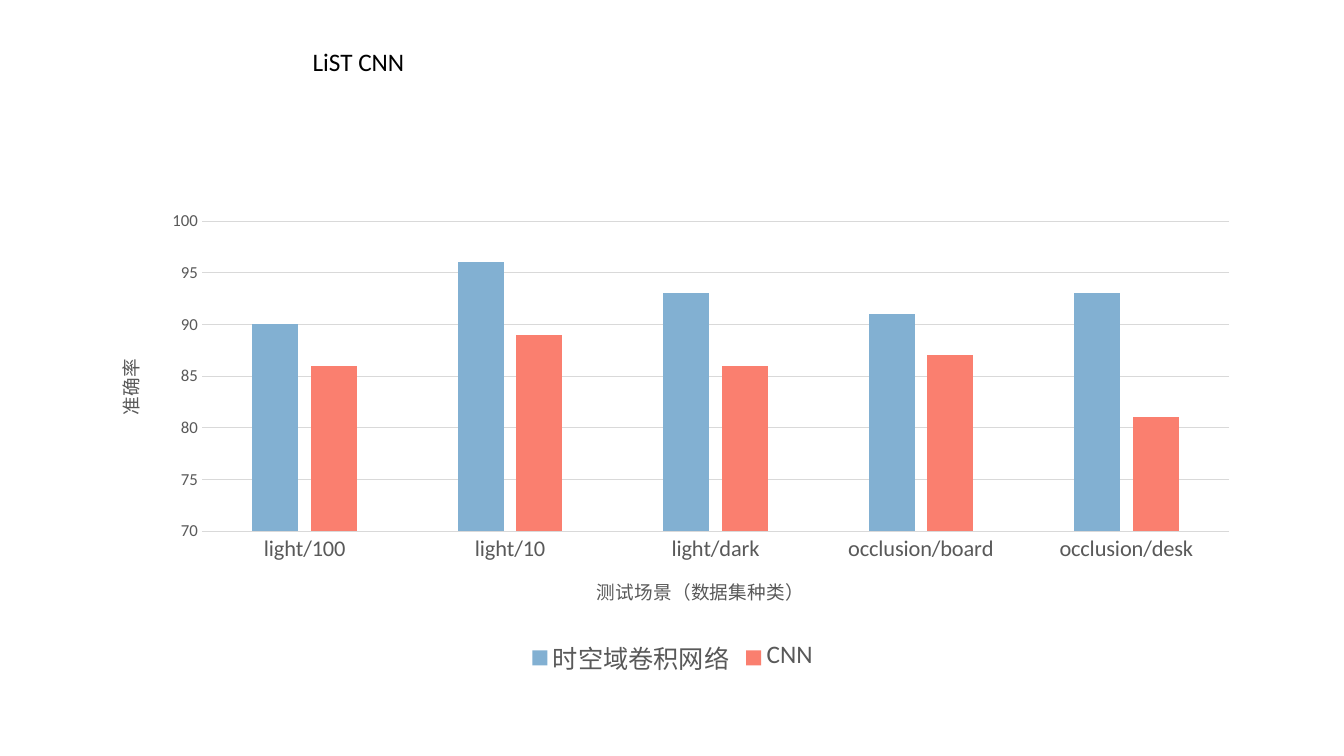
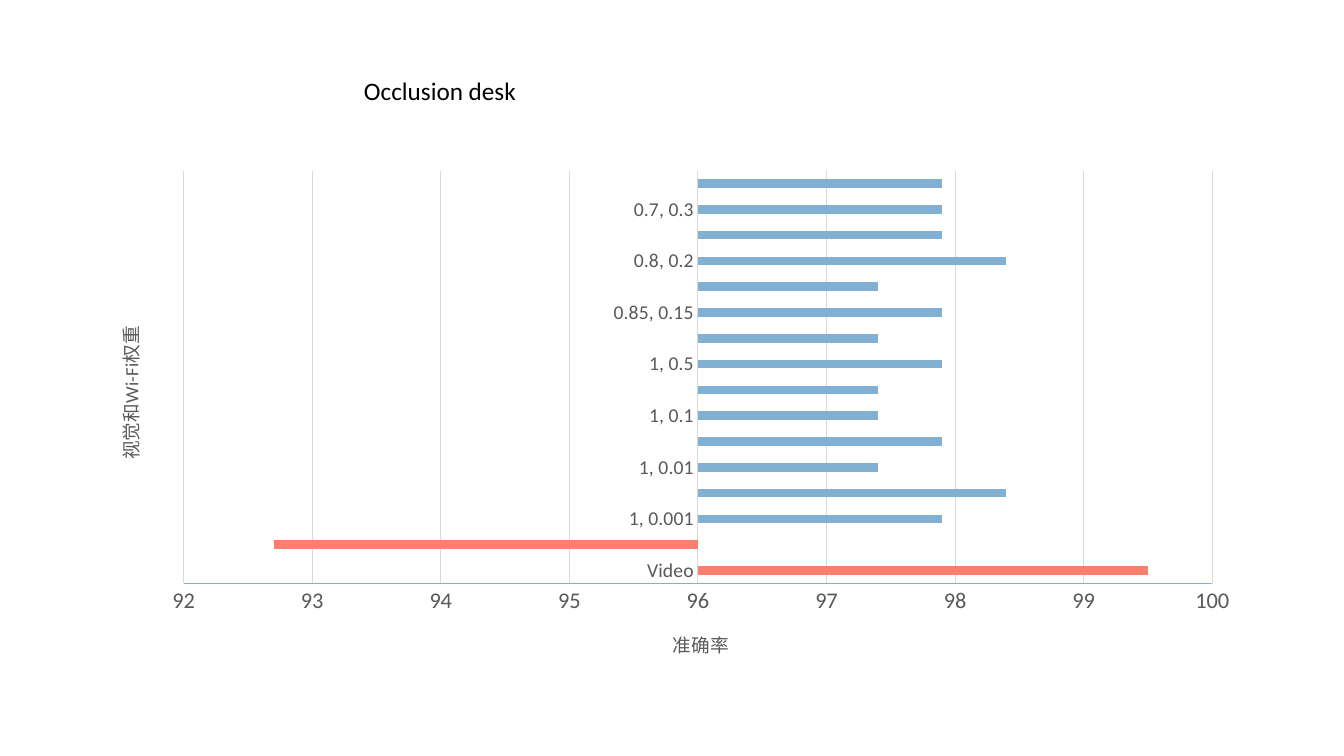
from pptx import Presentation
from pptx.chart.data import CategoryChartData
from pptx.dml.color import RGBColor
from pptx.enum.chart import XL_CHART_TYPE as CT, XL_LEGEND_POSITION as LP, XL_TICK_MARK as TM
from pptx.enum.text import MSO_ANCHOR, MSO_AUTO_SIZE, PP_ALIGN
from pptx.oxml.ns import qn
from pptx.util import Inches, Pt

BLACK = RGBColor(0x00, 0x00, 0x00)
GRAY = RGBColor(0x59, 0x59, 0x59)
GRID = RGBColor(0xD9, 0xD9, 0xD9)
BLUE = RGBColor(0x82, 0xB0, 0xD2)
CORAL = RGBColor(0xFA, 0x7F, 0x6F)
FONT = "Calibri"


def set_text(tf, text, size=18, color=BLACK):
    p = tf.paragraphs[0]
    r = p.add_run()
    r.text = text
    style_font(r.font, size, color)
    return p


def style_font(font, size, color=GRAY):
    font.name = FONT
    font.size = Pt(size)
    font.bold = False
    font.color.rgb = color


slides = [
    dict(
        title="LiST CNN", title_box=(3, 0.41, 1.91, 0.4),
        kind=CT.COLUMN_CLUSTERED, chart_box=(0.92, 2, 11.5, 4.76),
        cats=["light/100", "light/10", "light/dark", "occlusion/board", "occlusion/desk"],
        series=[("时空域卷积网络", [90, 96, 93, 91, 93], BLUE),
                ("CNN", [86, 89, 86, 87, 81], CORAL)],
        points={}, gap=219, overlap=-27, legend=True,
        cat_title="测试场景（数据集种类）", cat_size=16, cat_rot=0,
        val_title="准确率", val_size=12, val_rot=-90,
        val_line=None, low=70, step=5, cross=70,
    ),
    dict(
        title="Occlusion desk", title_box=(3.51, 0.7, 2.73, 0.4),
        kind=CT.BAR_CLUSTERED, chart_box=(0.92, 1.59, 11.5, 5.16),
        cats=["Video", "Wi-Fi", "1, 0.001", "0.999, 0.001", "1, 0.01", "0.99, 0.01",
              "1, 0.1", "1, 0.2", "1, 0.5", "0.9, 0.1", "0.85, 0.15", "0.82, 0.18",
              "0.8, 0.2", "0.75, 0.25", "0.7, 0.3", "0.5, 0.5"],
        series=[("Series 1", [99.5, 92.7, 97.9, 98.4, 97.4, 97.9, 97.4, 97.4,
                              97.9, 97.4, 97.9, 97.4, 98.4, 97.9, 97.9, 97.9], BLUE)],
        points={0: CORAL, 1: CORAL}, gap=200, overlap=0, legend=False,
        cat_title="视觉和Wi-Fi权重", cat_size=14, cat_rot=-90,
        val_title="准确率", val_size=16, val_rot=0,
        val_line=BLUE, low=92, step=1, cross=96,
    ),
]

prs = Presentation()
prs.slide_width = Inches(13.33)
prs.slide_height = Inches(7.5)

for d in slides:
    s = prs.slides.add_slide(prs.slide_layouts[5])
    title = s.shapes.title
    title.left, title.top, title.width, title.height = map(Inches, d["title_box"])
    tf = title.text_frame
    tf.word_wrap = True
    tf.auto_size = MSO_AUTO_SIZE.SHAPE_TO_FIT_TEXT
    tf.vertical_anchor = MSO_ANCHOR.TOP
    set_text(tf, d["title"]).alignment = PP_ALIGN.LEFT

    data = CategoryChartData()
    data.categories = d["cats"]
    for name, vals, _ in d["series"]:
        data.add_series(name, vals)
    chart = s.shapes.add_chart(d["kind"], *map(Inches, d["chart_box"]), data).chart
    style_font(chart.font, 10, BLACK)
    chart.has_title = False
    chart.has_legend = d["legend"]
    if d["legend"]:
        chart.legend.position = LP.BOTTOM
        chart.legend.include_in_layout = False
        style_font(chart.legend.font, 18)

    plot = chart.plots[0]
    plot.vary_by_categories = False
    plot.gap_width = d["gap"]
    plot.overlap = d["overlap"]
    for ser, (_, _, color) in zip(plot.series, d["series"]):
        ser.invert_if_negative = False
        ser.format.fill.solid()
        ser.format.fill.fore_color.rgb = color
        for i, point_color in d["points"].items():
            fill = ser.points[i].format.fill
            fill.solid()
            fill.fore_color.rgb = point_color

    cat, val = chart.category_axis, chart.value_axis
    for axis, key, line_color in ((cat, "cat", GRID), (val, "val", d["val_line"])):
        axis.major_tick_mark = axis.minor_tick_mark = TM.NONE
        style_font(axis.tick_labels.font, d[key + "_size"])
        line = axis.format.line
        if line_color is None:
            line.fill.background()
        else:
            line.color.rgb = line_color
            line.width = Pt(0.75)
        axis.has_title = True
        axis_title = axis.axis_title
        set_text(axis_title.text_frame, d[key + "_title"], 13.3, GRAY)
        body = axis_title.element.find(".//" + qn("a:bodyPr"))
        body.set("rot", str(d[key + "_rot"] * 60000))
        body.set("vert", "horz")

    val.minimum_scale = d["low"]
    val.maximum_scale = 100
    val.major_unit = d["step"]
    val.crosses_at = d["cross"]
    val.tick_labels.number_format = "General"
    val.tick_labels.number_format_is_linked = False
    val.has_major_gridlines = True
    grid = val.major_gridlines.format.line
    grid.color.rgb = GRID
    grid.width = Pt(0.75)

prs.save("out.pptx")
